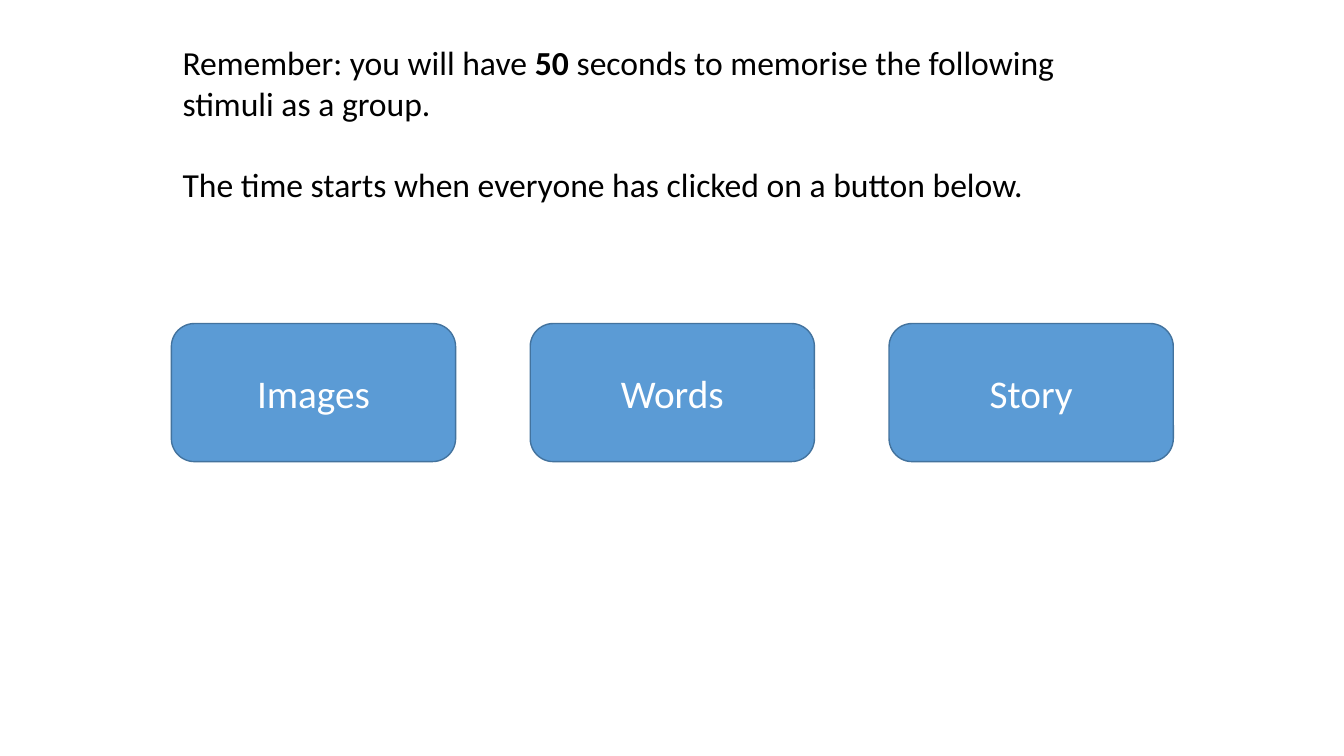
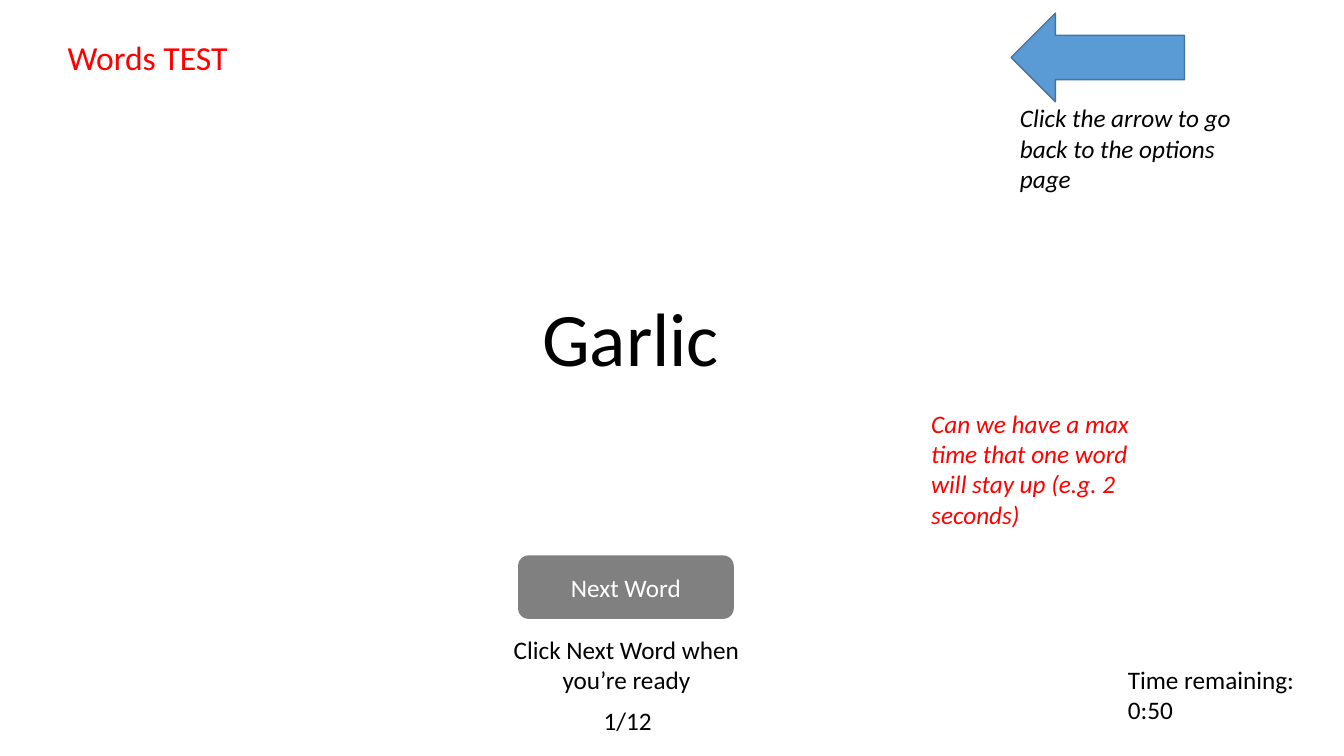
from dataclasses import dataclass

from pptx import Presentation
from pptx.dml.color import RGBColor as Rgb
from pptx.enum.shapes import MSO_SHAPE as Kind
from pptx.enum.text import MSO_ANCHOR as Anchor, MSO_AUTO_SIZE as Fit, PP_ALIGN as Align
from pptx.util import Inches, Pt


@dataclass(frozen=True)
class Theme:
    font: str = "Calibri"
    ink: str = "000000"
    red: str = "FF0000"
    white: str = "FFFFFF"
    blue: str = "5B9BD5"
    edge: str = "43739E"
    gray: str = "808080"
    small: int = 18
    head: int = 24
    large: int = 28
    huge: int = 54


THEME = Theme()
WIDE, HIGH = Inches(13.33), Inches(7.5)


def area(left, top, width, height):
    return (round(WIDE * left / 100), round(HIGH * top / 100),
            round(WIDE * width / 100), round(HIGH * height / 100))


def write(frame, lines, size=THEME.small, color=THEME.ink,
          align=Align.LEFT, slant=False, gap=0):
    for place, runs in enumerate(lines):
        line = frame.add_paragraph() if place else frame.paragraphs[0]
        line.alignment = align
        line.space_before = Pt(gap if place else 0)
        for text, bold in runs:
            run = line.add_run()
            run.text = text
            font = run.font
            font.name, font.size = THEME.font, Pt(size)
            font.bold, font.italic = bold, slant
            font.color.rgb = Rgb.from_string(color)


def plain(*texts):
    return [[(text, False)] for text in texts]


def add_page(deck, box, lines, color=THEME.ink, gap=0):
    page = deck.slides.add_slide(deck.slide_layouts[5])
    title = page.shapes.title
    title.left, title.top, title.width, title.height = area(*box)
    frame = title.text_frame
    frame.vertical_anchor, frame.auto_size = Anchor.TOP, Fit.NONE
    write(frame, lines, THEME.head, color, gap=gap)
    return page


def add_text(page, box, lines, **style):
    frame = page.shapes.add_textbox(*area(*box)).text_frame
    frame.word_wrap = True
    write(frame, lines, **style)


def add_form(page, kind, box, color, edge=None):
    form = page.shapes.add_shape(kind, *area(*box))
    form.shadow.inherit = False
    form.fill.solid()
    form.fill.fore_color.rgb = Rgb.from_string(color)
    if edge:
        form.line.color.rgb = Rgb.from_string(edge)
        form.line.width = Pt(1)
    else:
        form.line.fill.background()
    return form


def add_button(page, box, label, size, color, edge=None):
    frame = add_form(page, Kind.ROUNDED_RECTANGLE, box, color, edge).text_frame
    frame.vertical_anchor = Anchor.MIDDLE
    write(frame, plain(label), size, THEME.white, Align.CENTER)


def add_menu(deck):
    lines = [
        [("Remember: you will have ", False), ("50 ", True),
         ("seconds to memorise the following stimuli as a group.", False)],
        [("The time starts when everyone has clicked on a button below.", False)],
    ]
    page = add_page(deck, (12.83, 4.93, 70.88, 22.93), lines, gap=29.3)
    for place, label in enumerate(("Images", "Words", "Story")):
        add_button(page, (12.75 + 26.7 * place, 42.8, 21.15, 18.27),
                   label, THEME.large, THEME.blue, THEME.edge)


def add_test(deck):
    page = add_page(deck, (4.28, 4.27, 23.25, 6.67), plain("Words TEST"), THEME.red)
    add_text(page, (39.6, 37.87, 23.33, 13.47), plain("Garlic"), size=THEME.huge)
    add_button(page, (38.55, 73.47, 16.05, 8.4), "Next Word", THEME.small, THEME.gray)
    add_text(page, (36.6, 83.2, 20.03, 9.47),
             plain("Click Next Word when you’re ready"), align=Align.CENTER)
    add_text(page, (44.18, 92.67, 5.48, 5.33), plain("1/12"))
    add_form(page, Kind.LEFT_ARROW, (75.23, 1.73, 12.9, 11.73), THEME.blue, THEME.edge)
    add_text(page, (75.15, 12.93, 17.48, 13.47),
             plain("Click the arrow to go back to the options page"), slant=True)
    add_text(page, (68.55, 53.33, 16.2, 17.47),
             plain("Can we have a max time that one word will stay up (e.g. 2 seconds)"),
             color=THEME.red, slant=True)
    add_text(page, (83.18, 87.2, 16.8, 9.47), plain("Time remaining:", "0:50"))


def main():
    deck = Presentation()
    deck.slide_width, deck.slide_height = WIDE, HIGH
    add_menu(deck)
    add_test(deck)
    deck.save("out.pptx")


if __name__ == "__main__":
    main()
